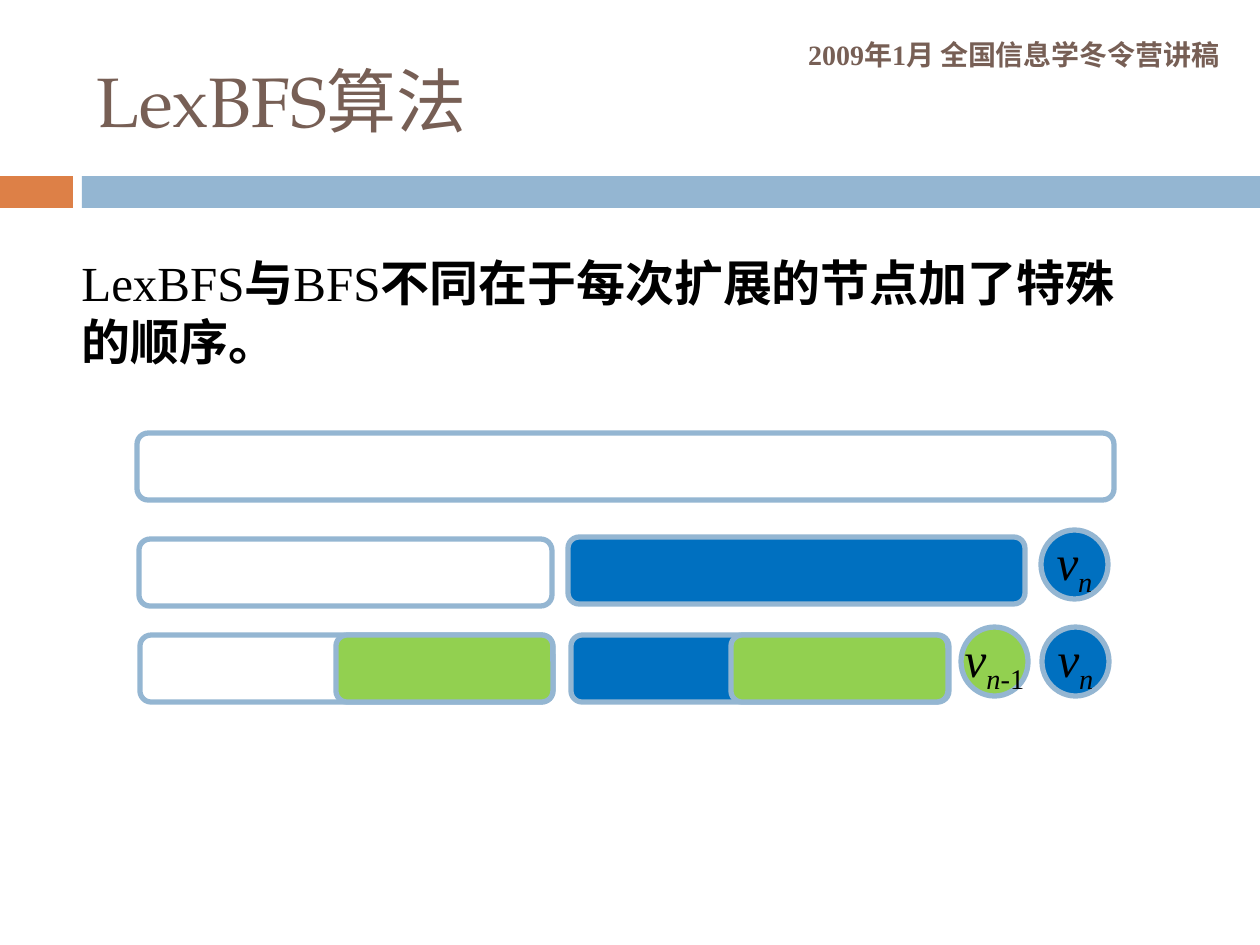
from pptx import Presentation
from pptx import util as u
from pptx.dml.color import RGBColor
from pptx.enum import shapes, text
from pptx.oxml.ns import qn
from lxml import etree

SCALE = 914400 / 126
COLORS = {"orange": "DD8047", "sky": "94B6D2", "brown": "775F55",
          "blue": "0070C0", "green": "92D050", "black": "000000"}
SERIF, TITLE, CJK = "Times New Roman", "TeX Gyre Pagella", "Noto Sans CJK SC"
BLOCK_H, NODE_W, NODE_H = 67, 67, 69


def px(n):
    """Turn pixels into EMU."""
    return u.Emu(round(n * SCALE))


def add_run(p, words, size, color, font=SERIF, bold=False, italic=False, sub=False):
    """Add one formatted run to a paragraph."""
    r = p.add_run()
    r.text = words
    f = r.font
    f.size, f.name, f.bold, f.italic = u.Pt(size), font, bold, italic
    f.color.rgb = RGBColor.from_string(COLORS[color])
    rpr = f._element
    etree.SubElement(rpr, qn("a:ea")).set("typeface", CJK)
    if sub:
        rpr.set("baseline", "-25000")


def add_text(s, box, runs, size, color, anchor, align=text.PP_ALIGN.LEFT):
    """Place a wrapping text box made of (words, format) runs."""
    tf = s.shapes.add_textbox(*map(px, box)).text_frame
    tf.word_wrap = True
    tf.vertical_anchor = anchor
    p = tf.paragraphs[0]
    p.alignment = align
    for words, fmt in runs:
        add_run(p, words, size, color, **fmt)


def add_figure(s, kind, box, fill=None, line=None):
    """Place a preset shape with an optional fill and outline."""
    sp = s.shapes.add_shape(kind, *map(px, box))
    sp.shadow.inherit = False
    if fill:
        sp.fill.solid()
        sp.fill.fore_color.rgb = RGBColor.from_string(COLORS[fill])
    else:
        sp.fill.background()
    if line:
        sp.line.color.rgb = RGBColor.from_string(COLORS[line])
        sp.line.width = u.Pt(3)
    else:
        sp.line.fill.background()
    return sp


def add_node(s, left, top, fill, subscript):
    """Place a round vertex labelled v with a subscript."""
    sp = add_figure(s, shapes.MSO_SHAPE.OVAL, (left, top, NODE_W, NODE_H), fill, "sky")
    tf = sp.text_frame
    tf.word_wrap = False
    tf.vertical_anchor = text.MSO_ANCHOR.MIDDLE
    p = tf.paragraphs[0]
    p.alignment = text.PP_ALIGN.CENTER
    add_run(p, "v", 28, "black", italic=True)
    for words, italic in subscript:
        add_run(p, words, 28, "black", italic=italic, sub=True)


def add_row(s, left, top, blocks, nodes=()):
    """Place one queue state: blocks as (x, y, width, fill), nodes as (x, y, fill, subscript)."""
    for x, y, width, fill in blocks:
        box = (left + x, top + y, width, BLOCK_H)
        add_figure(s, shapes.MSO_SHAPE.ROUNDED_RECTANGLE, box, fill, "sky")
    for x, y, fill, subscript in nodes:
        add_node(s, left + x, top + y, fill, subscript)


def add_band(s, left, top, width, height):
    """Place the two-colour band under the title."""
    tab, gap = 73, 9
    rect = shapes.MSO_SHAPE.RECTANGLE
    add_figure(s, rect, (left, top, tab, height), "orange")
    add_figure(s, rect, (left + tab + gap, top, width - tab - gap, height), "sky")


def add_header(s, left, top, width, height):
    """Place the band, the event line and the title."""
    middle = text.MSO_ANCHOR.MIDDLE
    add_band(s, left, top + 176, width, height - 176)
    add_text(s, (left + 423, top + 29, 809, 50),
             [("2009年1月 全国信息学冬令营讲稿", {"bold": True})],
             16, "brown", middle, text.PP_ALIGN.RIGHT)
    add_text(s, (left + 84, top + 32, 1124, 136),
             [("LexBFS", {"font": TITLE}), ("算法", {"font": CJK})],
             40, "brown", middle)


def add_partition(s, left, top):
    """Place the three successive states of the vertex partition."""
    last = [("n", True)]
    before_last = [("n-", True), ("1", False)]
    add_row(s, left, top, [(0, 0, 977, None)])
    add_row(s, left, top + 104, [(2, 2, 413, None), (431, 0, 457, "blue")],
            [(904, -7, "blue", last)])
    add_row(s, left, top + 202,
            [(3, 0, 413, None), (434, 0, 378, "blue"),
             (199, 0, 217, "green"), (594, 0, 217, "green")],
            [(824, -8, "green", before_last), (905, -8, "blue", last)])


def main():
    """Build and save the slide."""
    prs = Presentation()
    prs.slide_width, prs.slide_height = px(1260), px(945)
    s = prs.slides.add_slide(prs.slide_layouts[6])
    add_header(s, 0, 0, 1260, 208)
    add_partition(s, 137, 433)
    add_text(s, (69, 246, 1092, 131),
             [("LexBFS", {}), ("与", {"bold": True}), ("BFS", {}),
              ("不同在于每次扩展的节点加了特殊的顺序。", {"bold": True})],
             28, "black", text.MSO_ANCHOR.TOP)
    prs.save("out.pptx")


if __name__ == "__main__":
    main()
